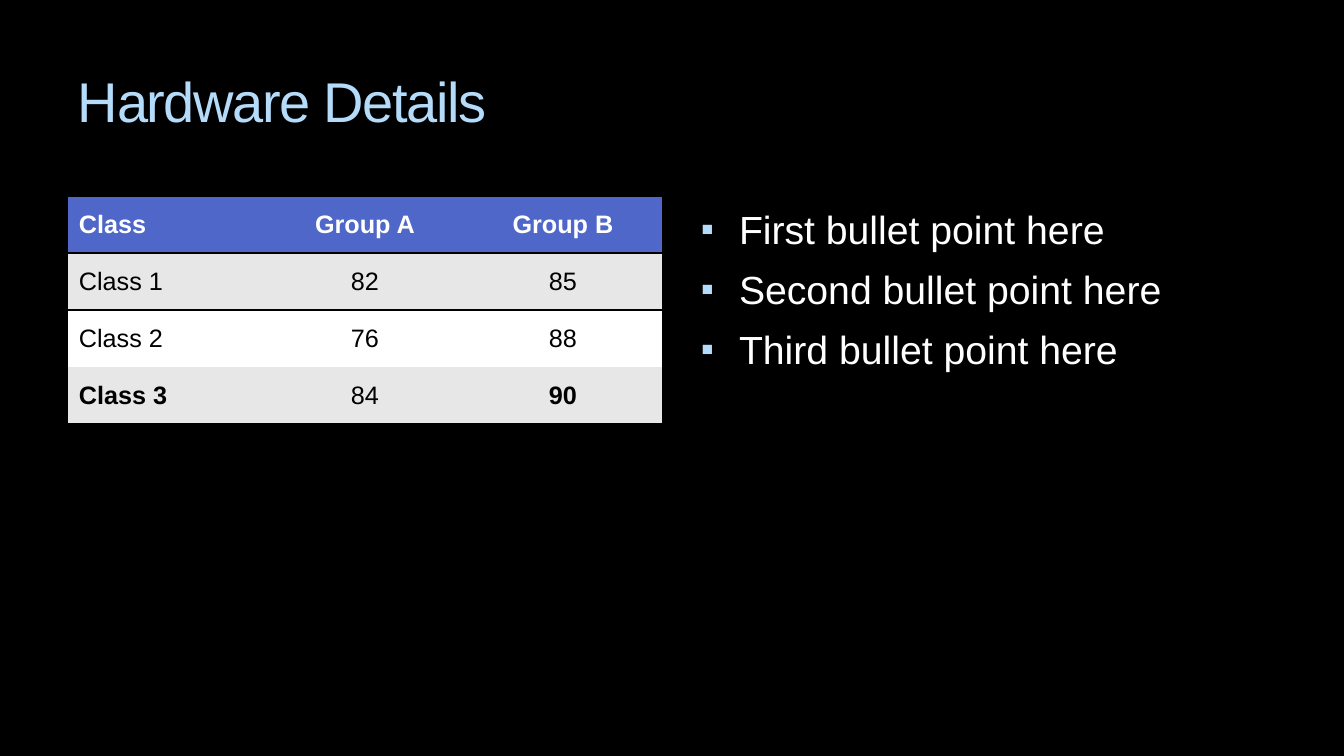
import pptx
import pptx.dml.color
import pptx.enum.text
import pptx.oxml
import pptx.oxml.ns
import pptx.util

RGBColor = pptx.dml.color.RGBColor
BLACK = RGBColor(0x00, 0x00, 0x00)
WHITE = RGBColor(0xFF, 0xFF, 0xFF)
SKY = RGBColor(0xB4, 0xDC, 0xFA)
HEADER_BLUE = RGBColor(0x4E, 0x67, 0xC8)
BAND_GREY = RGBColor(0xE7, 0xE7, 0xE7)
NO_STYLE = "{2D5ABB26-0587-4C30-8999-92F81FD0307C}"
NAMESPACE = pptx.oxml.ns.nsdecls("a")
PIXEL = 914400 / 100.8
ALIGN = pptx.enum.text.PP_ALIGN
ANCHOR = pptx.enum.text.MSO_ANCHOR


def px(count):
    """Turn picture pixels into EMU."""
    return pptx.util.Emu(round(count * PIXEL))


def add_span(para, text, size, color, bold=False):
    """Add one formatted run and return it."""
    span = para.add_run()
    span.text = text
    span.font.name = "Arial"
    span.font.size = pptx.util.Pt(size)
    span.font.color.rgb = color
    span.font.bold = bold
    return span


deck = pptx.Presentation()
deck.slide_width, deck.slide_height = px(1344), px(756)
page = deck.slides.add_slide(deck.slide_layouts[1])
page.background.fill.solid()
page.background.fill.fore_color.rgb = BLACK

# Title and body placeholders
title, body = page.shapes.title, page.placeholders[1]
for box, place, top_inset in ((title, (68, 56, 1210, 101), 11),
                              (body, (684, 196, 594, 499), 9)):
    box.left, box.top, box.width, box.height = map(px, place)
    frame = box.text_frame
    frame.word_wrap = True
    frame.auto_size = pptx.enum.text.MSO_AUTO_SIZE.NONE
    frame.vertical_anchor = ANCHOR.TOP
    frame.margin_left = frame.margin_right = px(10)
    frame.margin_top = px(top_inset)

para = title.text_frame.paragraphs[0]
para.alignment = ALIGN.LEFT
span = add_span(para, "Hardware Details", 40, SKY)
span.font._element.set("spc", "-100")

# Bullet list
for index, order in enumerate(("First", "Second", "Third")):
    frame = body.text_frame
    para = frame.add_paragraph() if index else frame.paragraphs[0]
    para.alignment = ALIGN.LEFT
    para.space_before = pptx.util.Pt(9.4 if index else 0)
    add_span(para, f"{order} bullet point here", 28, WHITE)
    settings = para._p.get_or_add_pPr()
    settings.set("marL", str(px(45)))
    settings.set("indent", str(-px(38)))
    for bullet in (f'<a:buClr {NAMESPACE}><a:srgbClr val="{SKY}"/></a:buClr>',
                   f'<a:buSzPct {NAMESPACE} val="95000"/>',
                   f'<a:buFont {NAMESPACE} typeface="Arial"/>',
                   f'<a:buChar {NAMESPACE} char="▪"/>'):
        settings.append(pptx.oxml.parse_xml(bullet))

# Score table
scores = (("Class", "Group A", "Group B"),
          ("Class 1", "82", "85"),
          ("Class 2", "76", "88"),
          ("Class 3", "84", "90"))
bold_cells = {"Class 3", "90"}
row_edges = {0: ("lnT", "lnB"), 1: ("lnT",), 3: ("lnB",)}
graphic = page.shapes.add_table(4, 3, px(68), px(196), px(594), px(228))
table = graphic.table
table.horz_banding = False
graphic._element.xpath(".//a:tableStyleId")[0].text = NO_STYLE
for column in table.columns:
    column.width = px(198)

for row, values in enumerate(scores):
    table.rows[row].height = px(57)
    header = row == 0
    for column, value in enumerate(values):
        cell = table.cell(row, column)
        cell.vertical_anchor = ANCHOR.MIDDLE
        cell.margin_left = cell.margin_right = px(11)
        cell.margin_top = cell.margin_bottom = px(5)
        cell.fill.solid()
        cell.fill.fore_color.rgb = (HEADER_BLUE if header else
                                    BAND_GREY if row % 2 else WHITE)
        para = cell.text_frame.paragraphs[0]
        para.alignment = ALIGN.CENTER if column else ALIGN.LEFT
        add_span(para, value, 18, WHITE if header else BLACK,
                 header or value in bold_cells)
        settings = cell._tc.get_or_add_tcPr()
        for position, edge in enumerate(row_edges.get(row, ())):
            settings.insert(position, pptx.oxml.parse_xml(
                f'<a:{edge} {NAMESPACE} w="25400"><a:solidFill>'
                f'<a:srgbClr val="{BLACK}"/></a:solidFill></a:{edge}>'))

deck.save("out.pptx")
